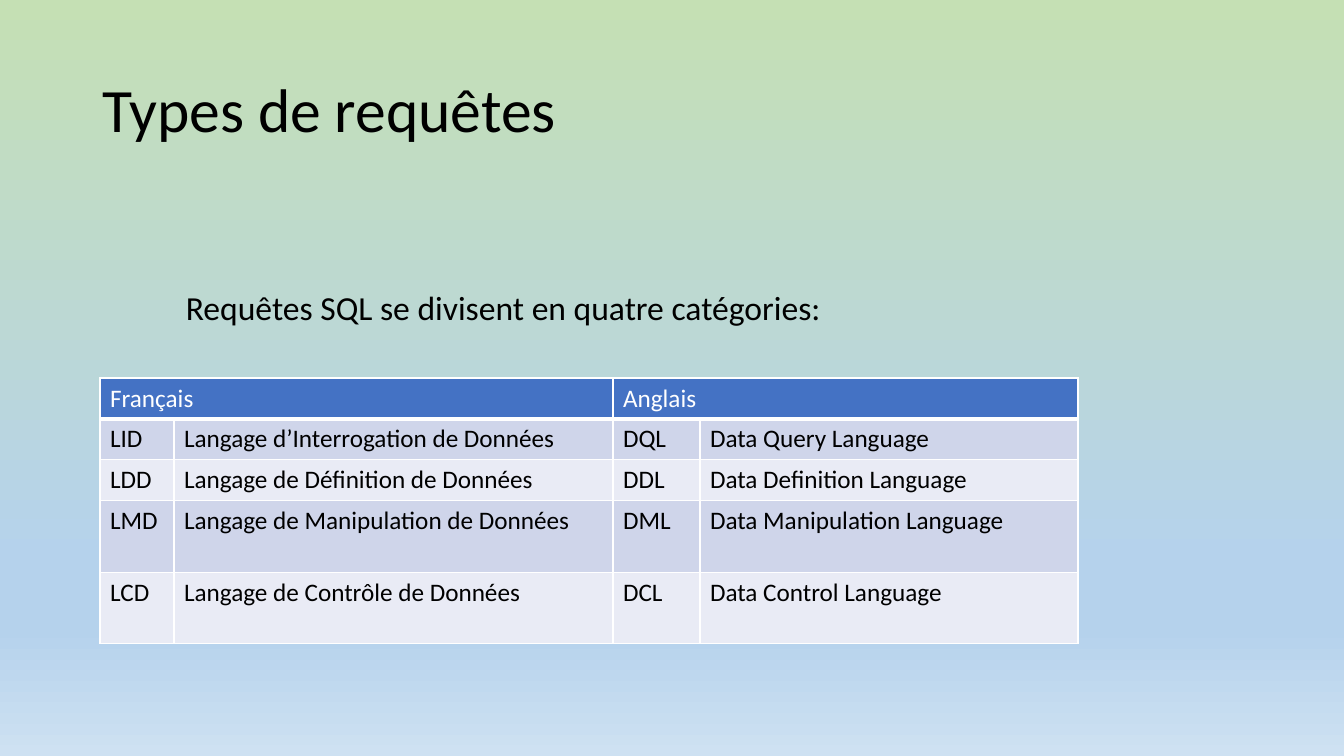
from dataclasses import dataclass

from lxml import etree
from pptx import Presentation
from pptx.dml.color import RGBColor
from pptx.enum.text import MSO_ANCHOR, MSO_AUTO_SIZE, PP_ALIGN
from pptx.oxml.ns import qn
from pptx.util import Pt

LEFT = PP_ALIGN.LEFT
MIDDLE = MSO_ANCHOR.MIDDLE
TOP = MSO_ANCHOR.TOP
NO_FIT = MSO_AUTO_SIZE.NONE
TITLE_ONLY = 5
EMU_PER_PX = 914400 / 100.8


@dataclass(frozen=True)
class Theme:
    font: str = "Calibri"
    title_size: int = 44
    lead_size: int = 24
    table_size: int = 18
    ink: str = "000000"
    white: str = "FFFFFF"
    header: str = "4472C4"
    bands: tuple = ("CFD5EA", "E9EBF5")
    background: tuple = ((0, "C5E0B4"), (74, "B5D2EC"), (83, "B5D2EC"), (100, "CEE1F2"))
    border: int = 1
    header_rule: int = 3


def px(length):
    return round(length * EMU_PER_PX)


def apply(target, values):
    for name, value in values.items():
        setattr(target, name, value)


def add_solid(parent, color):
    solid = etree.SubElement(parent, qn("a:solidFill"))
    etree.SubElement(solid, qn("a:srgbClr"), val=color)


class SlideBuilder:
    def __init__(self, deck, theme):
        self.theme = theme
        self.page = deck.slides.add_slide(deck.slide_layouts[TITLE_ONLY])

    def paint_background(self):
        fill = self.page.background.fill
        fill.gradient()
        fill.gradient_angle = 270
        stops = next(self.page.element.iter(qn("a:gsLst")))
        stops.clear()
        for percent, color in self.theme.background:
            stop = etree.SubElement(stops, qn("a:gs"), pos=str(percent * 1000))
            etree.SubElement(stop, qn("a:srgbClr"), val=color)

    def add_span(self, frame, text, size, color):
        para = frame.paragraphs[0]
        para.alignment = LEFT
        span = para.add_run()
        span.text = text
        apply(span.font, {"name": self.theme.font, "size": Pt(size), "bold": False})
        span.font.color.rgb = RGBColor.from_string(color)
        return para

    def place(self, box, left, top, width, height):
        apply(box, {"left": px(left), "top": px(top), "width": px(width), "height": px(height)})

    def title(self, text, *bounds):
        box = self.page.shapes.title
        self.place(box, *bounds)
        apply(box.text_frame, {"word_wrap": True, "auto_size": NO_FIT, "vertical_anchor": MIDDLE})
        para = self.add_span(box.text_frame, text, self.theme.title_size, self.theme.ink)
        para.line_spacing = 0.9

    def text(self, text, *bounds):
        box = self.page.shapes.add_textbox(*map(px, bounds))
        apply(box.text_frame, {"word_wrap": True, "vertical_anchor": TOP})
        self.add_span(box.text_frame, text, self.theme.lead_size, self.theme.ink)

    def borders(self, cell, bottom):
        properties = cell._tc.get_or_add_tcPr()
        widths = {"lnL": self.theme.border, "lnR": self.theme.border,
                  "lnT": self.theme.border, "lnB": bottom}
        for side, width in widths.items():
            line = etree.SubElement(properties, qn("a:" + side), w=str(int(Pt(width))))
            add_solid(line, self.theme.white)

    def table(self, left, top, widths, heights, header, rows):
        """Draw a table whose header entries each span two columns."""
        frame = self.page.shapes.add_table(
            len(heights), len(widths), px(left), px(top), px(sum(widths)), px(sum(heights)))
        table = frame.table
        for column, width in zip(table.columns, widths):
            column.width = px(width)
        for row, height in zip(table.rows, heights):
            row.height = px(height)
        for start in range(0, len(widths), 2):
            table.cell(0, start).merge(table.cell(0, start + 1))

        theme = self.theme
        spread = [entry for label in header for entry in (label, "")]
        for row, entries in enumerate([spread, *rows]):
            is_header = row == 0
            fill = theme.header if is_header else theme.bands[(row - 1) % 2]
            color = theme.white if is_header else theme.ink
            for column, entry in enumerate(entries):
                cell = table.cell(row, column)
                self.borders(cell, theme.header_rule if is_header else theme.border)
                cell.fill.solid()
                cell.fill.fore_color.rgb = RGBColor.from_string(fill)
                if entry:
                    self.add_span(cell.text_frame, entry, theme.table_size, color)


def main():
    deck = Presentation()
    apply(deck, {"slide_width": px(1344), "slide_height": px(756)})
    slide = SlideBuilder(deck, Theme())
    slide.paint_background()
    slide.title("Types de requêtes", 92, 40, 1159, 146)
    slide.table(
        100, 378, (74, 439, 87, 378), (40, 41, 41, 72, 71),
        ("Français", "Anglais"),
        [
            ("LID", "Langage d’Interrogation de Données", "DQL", "Data Query Language"),
            ("LDD", "Langage de Définition de Données", "DDL", "Data Definition Language"),
            ("LMD", "Langage de Manipulation de Données", "DML", "Data Manipulation Language"),
            ("LCD", "Langage de Contrôle de Données", "DCL", "Data Control Language"),
        ])
    slide.text("Requêtes SQL se divisent en quatre catégories:", 176, 282, 718, 50)
    deck.save("out.pptx")


if __name__ == "__main__":
    main()
